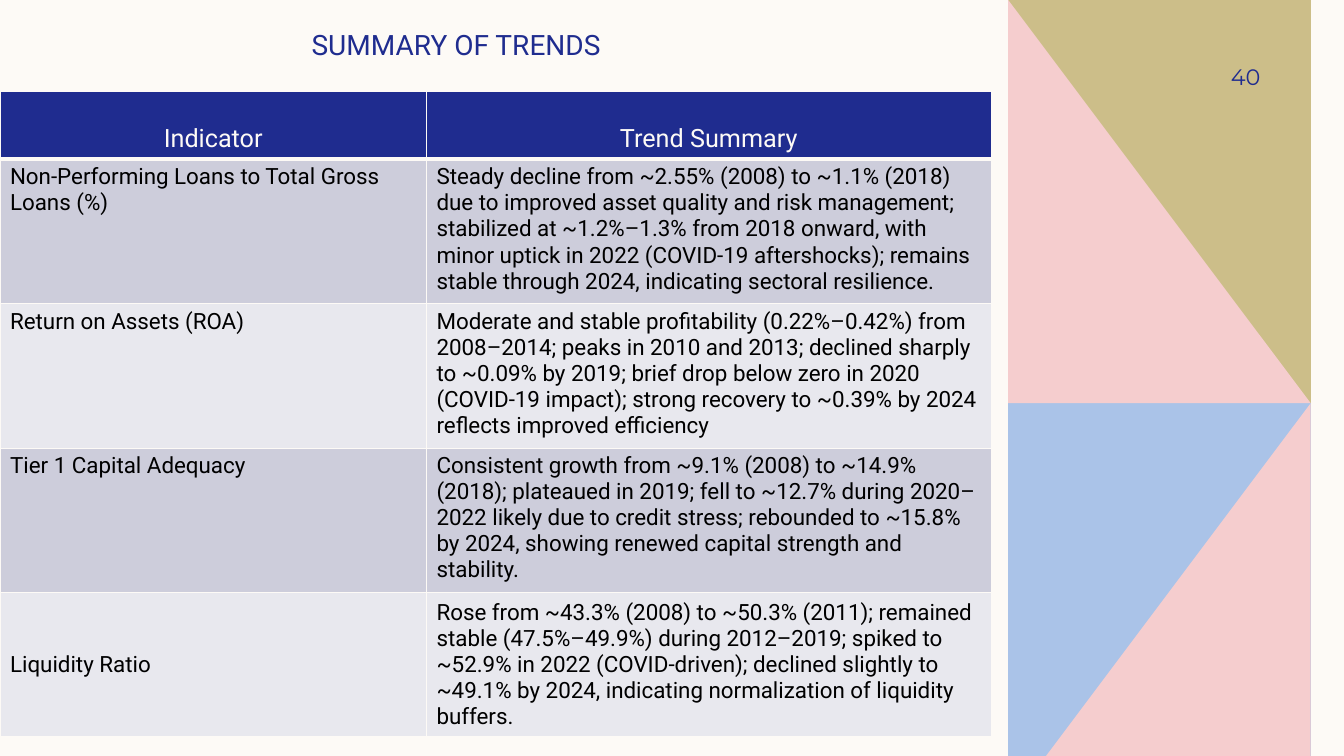
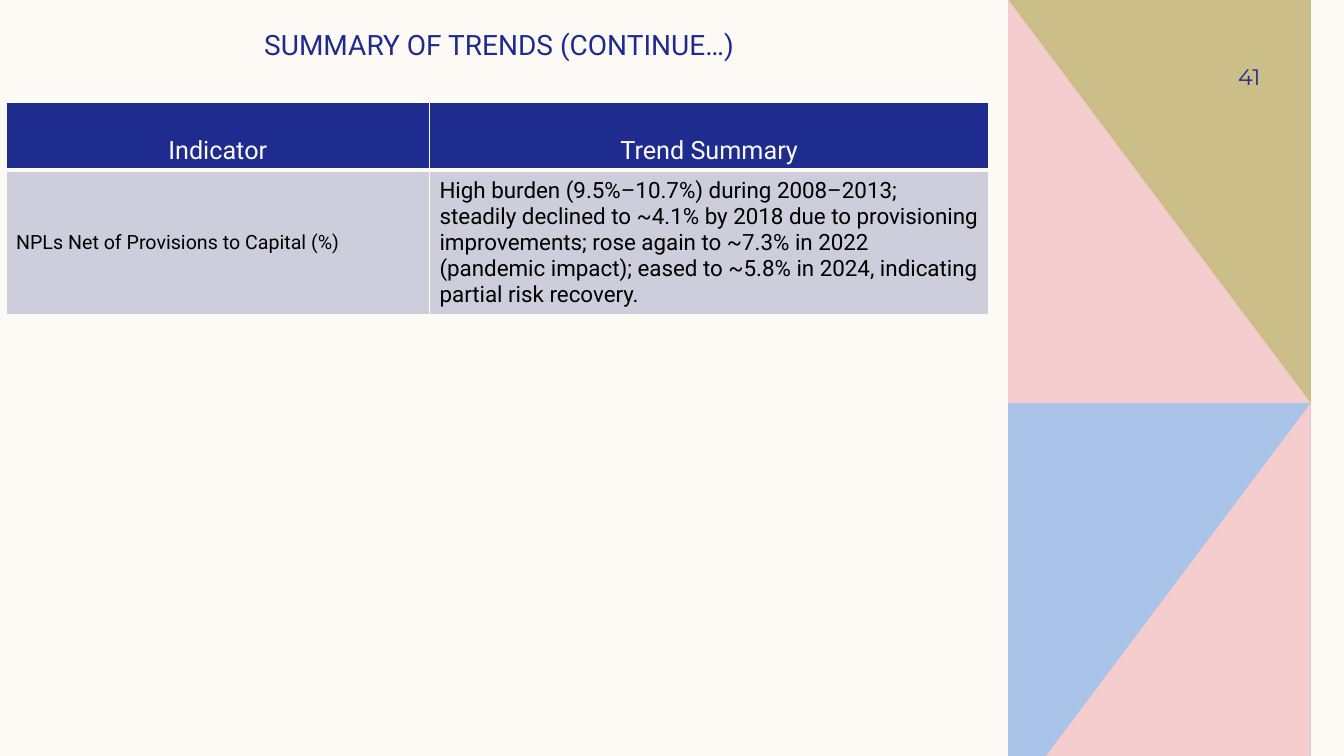
from lxml import etree
from pptx import Presentation
from pptx.dml.color import RGBColor
from pptx.enum.text import MSO_ANCHOR, PP_ALIGN
from pptx.oxml.ns import qn
from pptx.util import Inches, Pt

TOP, MID, LOW = MSO_ANCHOR.TOP, MSO_ANCHOR.MIDDLE, MSO_ANCHOR.BOTTOM
LEFT, CENTER, RIGHT = PP_ALIGN.LEFT, PP_ALIGN.CENTER, PP_ALIGN.RIGHT
CREAM, NAVY, BLACK = "FDFAF6", "1F2C8F", "000000"
BLUE, PINK, GOLD = "AAC3E8", "F5CDCE", "CCBE89"
BANDS = ["CDCDDB", "E8E8EE"]
BODY, DIGITS = "Roboto", "Montserrat"
WIDE, HIGH, EDGE = 13.33, 7.5, 9.83
HEAD_H, ROW_H = 0.67, 1.39

PANEL = [
    (BLUE, [(EDGE, 3.75), (WIDE, 3.75), (WIDE, HIGH), (EDGE, HIGH)]),
    (PINK, [(WIDE, 4), (WIDE, HIGH), (EDGE, HIGH)]),
    (GOLD, [(EDGE, 0), (WIDE, 0), (WIDE, 3.76), (EDGE, 3.76)]),
    (PINK, [(EDGE, 0.01), (WIDE, 3.52), (WIDE, 3.77), (EDGE, 3.77)]),
]

# Each row: indicator, trend, indicator size, anchor
TRENDS = [
    ("Non-Performing Loans to Total Gross Loans (%)",
     "Steady decline from ~2.55% (2008) to ~1.1% (2018) due to improved "
     "asset quality and risk management; stabilized at ~1.2%–1.3% from 2018 "
     "onward, with minor uptick in 2022 (COVID-19 aftershocks); remains "
     "stable through 2024, indicating sectoral resilience.", 16, TOP),
    ("Return on Assets (ROA)",
     "Moderate and stable profitability (0.22%–0.42%) from 2008–2014; peaks "
     "in 2010 and 2013; declined sharply to ~0.09% by 2019; brief drop below "
     "zero in 2020 (COVID-19 impact); strong recovery to ~0.39% by 2024 "
     "reflects improved efficiency", 16, TOP),
    ("Tier 1 Capital Adequacy",
     "Consistent growth from ~9.1% (2008) to ~14.9% (2018); plateaued in "
     "2019; fell to ~12.7% during 2020–2022 likely due to credit stress; "
     "rebounded to ~15.8% by 2024, showing renewed capital strength and "
     "stability.", 16, TOP),
    ("Liquidity Ratio",
     "Rose from ~43.3% (2008) to ~50.3% (2011); remained stable "
     "(47.5%–49.9%) during 2012–2019; spiked to ~52.9% in 2022 "
     "(COVID-driven); declined slightly to ~49.1% by 2024, indicating "
     "normalization of liquidity buffers.", 16, MID),
]
MORE = [
    ("NPLs Net of Provisions to Capital (%)",
     "High burden (9.5%–10.7%) during 2008–2013; steadily declined to ~4.1% "
     "by 2018 due to provisioning improvements; rose again to ~7.3% in 2022 "
     "(pandemic impact); eased to ~5.8% in 2024, indicating partial risk "
     "recovery.", 14, MID),
]


def paint(fill, color):
    fill.solid()
    fill.fore_color.rgb = RGBColor.from_string(color)


def write(frame, text, size, color, align=LEFT, font=BODY):
    para = frame.paragraphs[0]
    para.alignment = align
    run = para.add_run()
    run.text = text
    run.font.name, run.font.size, run.font.bold = font, Pt(size), False
    run.font.color.rgb = RGBColor.from_string(color)


def add_panel(slide, layout):
    """Draw the side panel and move it to the layout, so all slides share it."""
    for color, points in PANEL:
        path = slide.shapes.build_freeform(*points[0], scale=Inches(1))
        path.add_line_segments(points[1:], close=True)
        shape = path.convert_to_shape()
        shape.shadow.inherit = False
        paint(shape.fill, color)
        shape.line.fill.background()
        layout.shapes.element.append(shape.element)


def add_title(slide, text, left):
    title = slide.shapes.title
    title.left, title.top = Inches(left), Inches(0.02)
    title.width, title.height = Inches(8.29), Inches(0.59)
    frame = title.text_frame
    frame.margin_top = frame.margin_bottom = 0
    frame.vertical_anchor = LOW
    write(frame, text, 20, NAVY)


def add_number(slide, number):
    box = slide.shapes.add_textbox(
        Inches(11.42), Inches(0.5), Inches(1.08), Inches(0.52))
    frame = box.text_frame
    frame.word_wrap = True
    frame.margin_right = 0
    frame.vertical_anchor = MID
    write(frame, str(number), 16, NAVY, RIGHT, DIGITS)


def add_border(cell, side, width):
    line = etree.SubElement(cell._tc.get_or_add_tcPr(), qn("a:ln" + side),
                            w=str(Pt(width)))
    fill = etree.SubElement(line, qn("a:solidFill"))
    etree.SubElement(fill, qn("a:srgbClr"), val=CREAM)


def fill_cell(cell, text, size, color, back, anchor, align, heavy):
    """Style one cell; heavy names the side with the thick border."""
    for side in "LRTB":
        add_border(cell, side, 3 if side == heavy else 1)
    paint(cell.fill, back)
    cell.vertical_anchor = anchor
    write(cell.text_frame, text, size, color, align)


def add_trends(slide, left, top, widths, rows):
    table = slide.shapes.add_table(
        len(rows) + 1, 2, Inches(left), Inches(top), Inches(sum(widths)),
        Inches(HEAD_H + ROW_H * len(rows))).table
    for col, width in zip(table.columns, widths):
        col.width = Inches(width)
    for i, row in enumerate(table.rows):
        row.height = Inches(ROW_H if i else HEAD_H)
    for j, text in enumerate(["Indicator", "Trend Summary"]):
        fill_cell(table.cell(0, j), text, 18, CREAM, NAVY, LOW, CENTER, "B")
    for i, (name, trend, size, anchor) in enumerate(rows, 1):
        for j, (text, points) in enumerate([(name, size), (trend, 16)]):
            fill_cell(table.cell(i, j), text, points, BLACK,
                      BANDS[(i - 1) % 2], anchor, LEFT,
                      "T" if i == 1 else "")


def main():
    deck = Presentation()
    deck.slide_width, deck.slide_height = Inches(WIDE), Inches(HIGH)
    layout = deck.slide_layouts[5]
    paint(layout.background.fill, CREAM)

    first = deck.slides.add_slide(layout)
    add_panel(first, layout)
    add_title(first, "SUMMARY OF TRENDS", 2.99)
    add_number(first, 40)
    add_trends(first, 0, 0.91, [4.23, 5.6], TRENDS)

    second = deck.slides.add_slide(layout)
    add_title(second, "SUMMARY OF TRENDS (CONTINUE…)", 2.52)
    add_number(second, 41)
    add_trends(second, 0.06, 1.02, [4.2, 5.55], MORE)

    deck.save("out.pptx")


if __name__ == "__main__":
    main()
